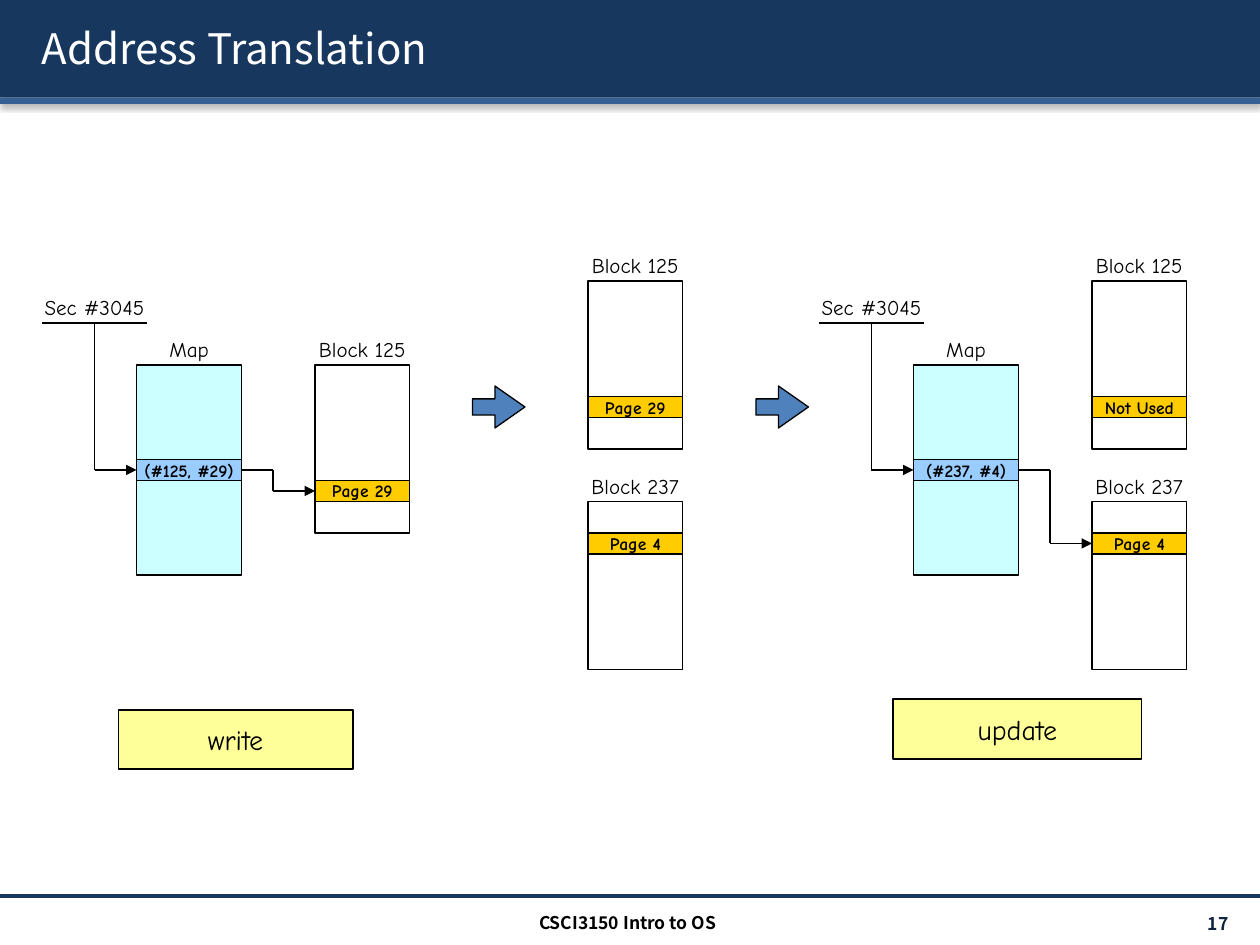
import pptx
import pptx.util
import pptx.dml.color
import pptx.enum.shapes
import pptx.enum.text
import pptx.oxml
import pptx.oxml.ns

SHAPES = pptx.enum.shapes.MSO_SHAPE
ALIGN = pptx.enum.text.PP_ALIGN
MIDDLE = pptx.enum.text.MSO_ANCHOR.MIDDLE
CELL = 1 / 12        # grid pitch in inches
GRID_TOP = -0.02     # inches above the slide edge where row 0 starts

HAND = {"name": "Comic Neue", "bold": False}
SANS = {"name": "Noto Sans CJK KR", "bold": True}


def color(value):
    return pptx.dml.color.RGBColor.from_string(value)


def grid(column, row, columns, rows):
    lengths = column * CELL, row * CELL + GRID_TOP, columns * CELL, rows * CELL
    return [pptx.util.Inches(length) for length in lengths]


def effects(hue, alpha, blur, distance, direction):
    return pptx.oxml.parse_xml(
        f'<a:effectLst {pptx.oxml.ns.nsdecls("a")}>'
        f'<a:outerShdw blurRad="{pptx.util.Pt(blur)}" dist="{pptx.util.Pt(distance)}"'
        f' dir="{direction * 60000}" algn="t" rotWithShape="0">'
        f'<a:srgbClr val="{hue}"><a:alpha val="{alpha * 1000}"/></a:srgbClr>'
        '</a:outerShdw></a:effectLst>')


class Diagram:
    """Holds the style and the current slide."""

    def __init__(self, presentation):
        self.presentation = presentation
        self.slide = presentation.slides.add_slide(presentation.slide_layouts[5])
        self.shapes = self.slide.shapes

    def share(self, left, top, width, height):
        across, down = self.presentation.slide_width, self.presentation.slide_height
        return [round(part * size) for part, size in
                zip((left, top, width, height), (across, down, across, down))]

    def add_text(self, shape, text, size, style=HAND, hue="000000",
                 align=ALIGN.CENTER, inset=0, wrap=False):
        frame = shape.text_frame
        settings = {"word_wrap": wrap, "vertical_anchor": MIDDLE,
                    "margin_left": inset, "margin_right": inset,
                    "margin_top": 0, "margin_bottom": 0}
        for name, value in settings.items():
            setattr(frame, name, value)
        paragraph = frame.paragraphs[0]
        paragraph.alignment = align
        run = paragraph.add_run()
        run.text = text
        for name, value in {**style, "size": pptx.util.Pt(size)}.items():
            setattr(run.font, name, value)
        run.font.color.rgb = color(hue)
        return run

    def title(self, text):
        shape = self.shapes.title
        shape.left, shape.top, shape.width, shape.height = self.share(0.023, 0.008, 0.961, 0.085)
        run = self.add_text(shape, text, 24, {**SANS, "bold": False}, "FFFFFF",
                            ALIGN.LEFT, pptx.util.Inches(0.1), True)
        fill = run.font._element.find(pptx.oxml.ns.qn("a:solidFill"))
        fill.addnext(effects("000000", 100, 0, 1.5, 45))
        self.shapes._spTree.append(shape._element)  # in front of the banner

    def box(self, place, fill, line="000000", width=1, kind=SHAPES.RECTANGLE):
        shape = self.shapes.add_shape(kind, *place)
        shape.shadow.inherit = False
        shape.fill.solid()
        shape.fill.fore_color.rgb = color(fill)
        if line:
            shape.line.color.rgb = color(line)
            shape.line.width = pptx.util.Pt(width)
        else:
            shape.line.fill.background()
        return shape

    def banner(self, top, height, fill):
        shape = self.box(self.share(0, top, 1, height), fill, None)
        properties = shape._element.spPr
        properties.remove(properties.find(pptx.oxml.ns.qn("a:effectLst")))
        properties.append(effects("000000", 38, 3.1, 1.6, 90))

    def label(self, place, text, size=12, **options):
        self.add_text(self.shapes.add_textbox(*place), text, size, **options)

    def line(self, start, end, hue="000000", width=0.75, arrow=False):
        connector = self.shapes.add_connector(
            pptx.enum.shapes.MSO_CONNECTOR.STRAIGHT, *start, *end)
        connector.line.color.rgb = color(hue)
        connector.line.width = pptx.util.Pt(width)
        namespace = pptx.oxml.ns.nsdecls("a")
        if arrow:
            connector.line._get_or_add_ln().append(
                pptx.oxml.parse_xml(f'<a:tailEnd {namespace} type="triangle"/>'))
        connector._element.spPr.append(pptx.oxml.parse_xml(f"<a:effectLst {namespace}/>"))

    def route(self, *points, arrow=True):
        stops = [grid(*point, 0, 0)[:2] for point in points]
        for index in range(1, len(stops)):
            self.line(stops[index - 1], stops[index],
                      arrow=arrow and index == len(stops) - 1)

    def store(self, column, row, columns, rows, name, fill, entry, entry_row, entry_fill):
        """A named memory area with one highlighted entry."""
        self.box(grid(column, row, columns, rows), fill)
        shape = self.box(grid(column, row + entry_row, columns, 2), entry_fill)
        self.add_text(shape, entry, 10, {**HAND, "bold": True})
        self.label(grid(column, row - 3, columns, 3), name)

    def block(self, column, row, name, page, page_row):
        self.store(column, row, 9, 16, name, "FFFFFF", page, page_row, "FFCC00")

    def lookup(self, column, entry, page_row):
        """Sector number, map and the path to the page."""
        self.store(column + 9, 35, 10, 20, "Map", "CCFFFF", entry, 9, "99CCFF")
        self.label(grid(column, 28, 10, 3), "Sec #3045")
        self.route((column, 31), (column + 10, 31), arrow=False)
        self.route((column + 5, 31), (column + 5, 45), (column + 9, 45))
        self.route((column + 19, 45), (column + 22, 45),
                   (column + 22, page_row), (column + 26, page_row))

    def step_arrow(self, column):
        shape = self.box(grid(column, 37, 5, 4), "4F81BD", width=0.75, kind=SHAPES.RIGHT_ARROW)
        shape.adjustments[0], shape.adjustments[1] = 0.385, 0.714

    def caption(self, place, text):
        self.add_text(self.box(place, "FFFF99"), text, 16)


def main():
    presentation = pptx.Presentation()
    presentation.slide_width = pptx.util.Inches(10)
    presentation.slide_height = pptx.util.Inches(7.5)
    diagram = Diagram(presentation)

    # Banner and title
    diagram.banner(0, 0.103, "17375E")
    diagram.banner(0.103, 0.007, "376092")
    diagram.title("Address Translation")

    # Write
    diagram.lookup(4, "(#125, #29)", 47)
    diagram.block(30, 35, "Block 125", "Page 29", 11)
    diagram.caption(diagram.share(0.094, 0.751, 0.186, 0.063), "write")

    # Both blocks, before and after the update
    for column, first_page in ((56, "Page 29"), (104, "Not Used")):
        diagram.block(column, 27, "Block 125", first_page, 11)
        diagram.block(column, 48, "Block 237", "Page 4", 3)
    for column in (45, 72):
        diagram.step_arrow(column)

    # Update
    diagram.lookup(78, "(#237, #4)", 52)
    diagram.caption(diagram.share(0.709, 0.74, 0.197, 0.063), "update")

    # Footer
    left, top, width, _ = diagram.share(0, 0.948, 1, 0)
    diagram.line((left, top), (width, top), "17375E", 2)
    diagram.label(diagram.share(0.332, 0.96, 0.332, 0.032), "CSCI3150 Intro to OS", 10, style=SANS)
    diagram.label(diagram.share(0.871, 0.961, 0.117, 0.032), "17", 10, style=SANS, hue="0F243E",
                  align=ALIGN.RIGHT, inset=pptx.util.Inches(0.13), wrap=True)

    presentation.save("out.pptx")


if __name__ == "__main__":
    main()
